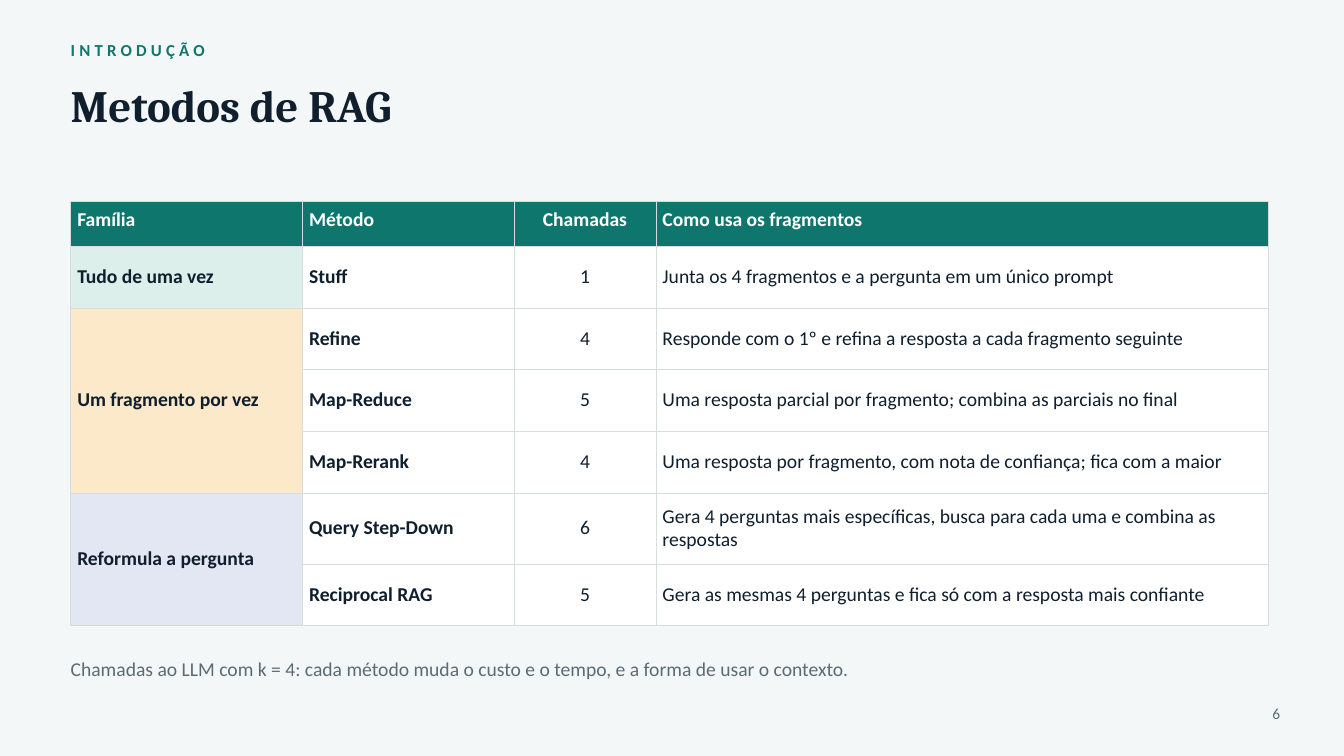
from lxml import etree
from pptx import Presentation
from pptx.dml.color import RGBColor
from pptx.enum.text import MSO_ANCHOR, MSO_AUTO_SIZE, PP_ALIGN
from pptx.oxml.ns import qn
from pptx.util import Cm, Pt

LEFT, CENTER, RIGHT = PP_ALIGN.LEFT, PP_ALIGN.CENTER, PP_ALIGN.RIGHT
TOP, MIDDLE = MSO_ANCHOR.TOP, MSO_ANCHOR.MIDDLE
NO_AUTOFIT = MSO_AUTO_SIZE.NONE

BACKGROUND = RGBColor(0xF4, 0xF7, 0xF7)
TEAL = RGBColor(0x0F, 0x76, 0x6E)
INK = RGBColor(0x0F, 0x1F, 0x2E)
GREY = RGBColor(0x5B, 0x6B, 0x76)
WHITE = RGBColor(0xFF, 0xFF, 0xFF)
MINT = RGBColor(0xDD, 0xEF, 0xEA)
SAND = RGBColor(0xFB, 0xE9, 0xC9)
LILAC = RGBColor(0xE3, 0xE6, 0xF3)
GRID = RGBColor(0xD5, 0xDD, 0xDD)

# Text styles: font values, and line spacing in points
EYEBROW = dict(name="Calibri", size=Pt(18), bold=True, color=TEAL), 21.6
HEADLINE = dict(name="Cambria", size=Pt(48), bold=True, color=INK), 57.6
NOTE = dict(name="Calibri", size=Pt(21), bold=False, color=GREY), 25.2
PAGE = dict(name="Calibri", size=Pt(16.5), bold=False, color=GREY), 19.8
TABLE_HEAD = dict(name="Calibri", size=Pt(21), bold=True, color=WHITE), 25.2
TABLE_LABEL = dict(name="Calibri", size=Pt(21), bold=True, color=INK), 25.2
TABLE_BODY = dict(name="Calibri", size=Pt(21), bold=False, color=INK), 25.2

COLUMN_WIDTHS = [8.76, 8, 5.36, 23.13]
HEADER_HEIGHT, ROW_HEIGHT, TWO_LINE_HEIGHT = 1.69, 2.33, 2.69
TWO_LINE_ROW = 5
HEADERS = ["Família", "Método", "Chamadas", "Como usa os fragmentos"]
FAMILIES = [
    ("Tudo de uma vez", MINT, [
        ("Stuff", 1, "Junta os 4 fragmentos e a pergunta em um único prompt"),
    ]),
    ("Um fragmento por vez", SAND, [
        ("Refine", 4, "Responde com o 1º e refina a resposta a cada fragmento seguinte"),
        ("Map-Reduce", 5, "Uma resposta parcial por fragmento; combina as parciais no final"),
        ("Map-Rerank", 4, "Uma resposta por fragmento, com nota de confiança; fica com a maior"),
    ]),
    ("Reformula a pergunta", LILAC, [
        ("Query Step-Down", 6,
         "Gera 4 perguntas mais específicas, busca para cada uma e combina as respostas"),
        ("Reciprocal RAG", 5,
         "Gera as mesmas 4 perguntas e fica só com a resposta mais confiante"),
    ]),
]


def write(frame, text, style, align=LEFT):
    values, spacing = style
    paragraph = frame.paragraphs[0]
    paragraph.alignment = align
    paragraph.line_spacing = Pt(spacing)
    run = paragraph.add_run()
    run.text = text
    for key, value in values.items():
        if key == "color":
            run.font.color.rgb = value
        else:
            setattr(run.font, key, value)
    return run


def set_frame(frame):
    settings = dict(margin_left=0, margin_right=0, margin_top=0, margin_bottom=0,
                    word_wrap=True, auto_size=NO_AUTOFIT, vertical_anchor=TOP)
    for key, value in settings.items():
        setattr(frame, key, value)


def add_text(slide, box, text, style, align=LEFT):
    label = slide.shapes.add_textbox(*map(Cm, box))
    set_frame(label.text_frame)
    return write(label.text_frame, text, style, align)


def add_heading(slide, box):
    left, top, width, height = box
    # Section name with wide letter spacing
    section = add_text(slide, (left, top, width, 1.24), "INTRODUÇÃO", EYEBROW)
    section.font._element.set("spc", "450")
    # Title
    title = slide.shapes.title
    title.left, title.top = Cm(left), Cm(top + 1.45)
    title.width, title.height = Cm(width), Cm(height - 1.45)
    set_frame(title.text_frame)
    write(title.text_frame, "Metodos de RAG", HEADLINE)


def set_borders(cell):
    properties = cell._tc.get_or_add_tcPr()
    for side in ("lnL", "lnR", "lnT", "lnB"):
        line = etree.SubElement(properties, qn(f"a:{side}"), w=str(Pt(0.5)))
        fill = etree.SubElement(line, qn("a:solidFill"))
        etree.SubElement(fill, qn("a:srgbClr"), val=str(GRID))


def fill_cell(cell, text, style, color, align=LEFT, anchor=MIDDLE):
    for side in ("left", "right", "top", "bottom"):
        setattr(cell, f"margin_{side}", Cm(0.25))
    cell.vertical_anchor = anchor
    set_borders(cell)
    cell.fill.solid()
    cell.fill.fore_color.rgb = color
    if text:
        write(cell.text_frame, text, style, align)


def add_methods_table(slide, box):
    row_count = 1 + sum(len(methods) for _, _, methods in FAMILIES)
    table = slide.shapes.add_table(row_count, len(HEADERS), *map(Cm, box)).table
    for column, width in zip(table.columns, COLUMN_WIDTHS):
        column.width = Cm(width)
    for row in table.rows:
        row.height = Cm(ROW_HEIGHT)
    table.rows[0].height = Cm(HEADER_HEIGHT)
    table.rows[TWO_LINE_ROW].height = Cm(TWO_LINE_HEIGHT)
    aligns = [LEFT, LEFT, CENTER, LEFT]

    # Header row
    for col, header in enumerate(HEADERS):
        fill_cell(table.cell(0, col), header, TABLE_HEAD, TEAL, aligns[col], TOP)

    # One merged family cell beside its methods
    styles = [TABLE_LABEL, TABLE_LABEL, TABLE_BODY, TABLE_BODY]
    first = 1
    for family, tint, methods in FAMILIES:
        for offset, (method, calls, usage) in enumerate(methods):
            texts = ["" if offset else family, method, str(calls), usage]
            colors = [tint, WHITE, WHITE, WHITE]
            for col, text in enumerate(texts):
                fill_cell(table.cell(first + offset, col), text,
                          styles[col], colors[col], aligns[col])
        last = first + len(methods) - 1
        if last > first:
            table.cell(first, 0).merge(table.cell(last, 0))
        first = last + 1


def add_footer(slide, box):
    left, top, width, height = box
    add_text(slide, (left, top, width, 1.47),
             "Chamadas ao LLM com k = 4: cada método muda o custo e o tempo, "
             "e a forma de usar o contexto.", NOTE)
    # Page number
    add_text(slide, (left + width - 1.52, top + height - 1.22, 1.9, 1.22),
             "6", PAGE, RIGHT)


def main():
    deck = Presentation()
    deck.slide_width, deck.slide_height = Cm(50.8), Cm(28.58)
    title_only = deck.slide_layouts[5]
    slide = deck.slides.add_slide(title_only)
    slide.background.fill.solid()
    slide.background.fill.fore_color.rgb = BACKGROUND

    left, width = 2.67, 45.34
    add_heading(slide, (left, 1.5, width, 3.48))
    add_methods_table(slide, (left, 7.62, sum(COLUMN_WIDTHS), 16.03))
    add_footer(slide, (left, 24.82, width, 3))
    deck.save("out.pptx")


if __name__ == "__main__":
    main()
